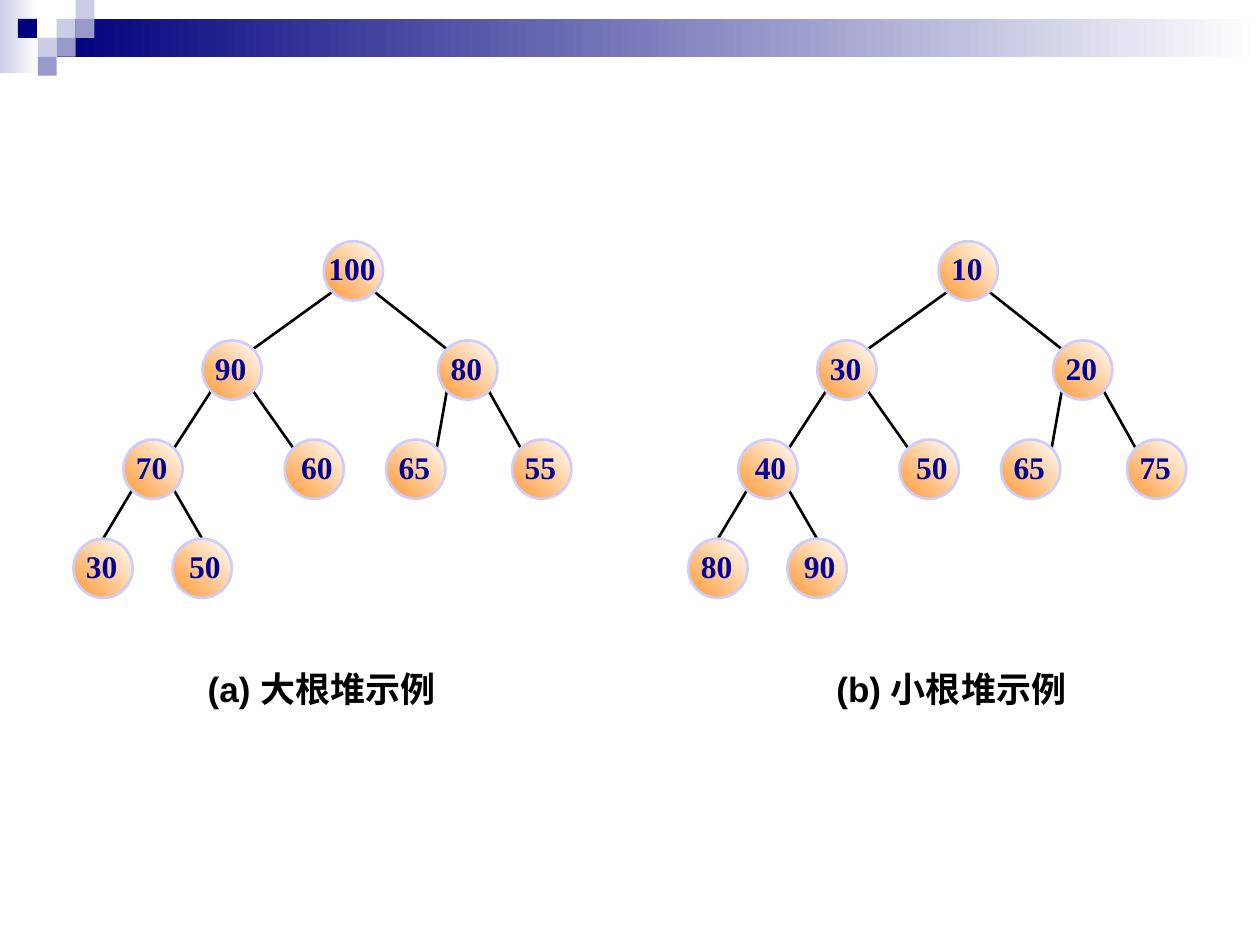
"""Build a slide comparing a max-heap tree with a min-heap tree."""
import math
import pptx
import pptx.dml.color
import pptx.enum.shapes
import pptx.enum.text
import pptx.util
import lxml.etree

COLORS = {
    "navy": "00007D", "pale": "CCCCE6", "lilac": "9999CC", "white": "FFFFFF",
    "orange": "FF9933", "rim": "CCCCFF", "number": "000099", "black": "000000",
}
SHAPES = pptx.enum.shapes.MSO_SHAPE
ALIGN = pptx.enum.text.PP_ALIGN
ANCHOR = pptx.enum.text.MSO_ANCHOR
FIT = pptx.enum.text.MSO_AUTO_SIZE


def rgb(name):
    return pptx.dml.color.RGBColor.from_string(COLORS[name])


def write(holder, text, font, size, color, align, anchor, insets, fit):
    frame = holder.text_frame
    frame.word_wrap = False
    frame.auto_size = fit
    frame.vertical_anchor = anchor
    frame.margin_left, frame.margin_top, frame.margin_right, frame.margin_bottom = [
        pptx.util.Inches(inset) for inset in insets]
    paragraph = frame.paragraphs[0]
    paragraph.alignment = align
    run = paragraph.add_run()
    run.text = text
    run.font.name = font
    run.font.size = pptx.util.Pt(size)
    run.font.bold = True
    run.font.color.rgb = rgb(color)


deck = pptx.Presentation()
deck.slide_width = pptx.util.Inches(10)
deck.slide_height = pptx.util.Inches(7.5)
slide = deck.slides.add_slide(deck.slide_layouts[6])
column = deck.slide_width / 100
tile = deck.slide_height / 50

bands = [(0, 0, 2.05, 3.85, "pale"), (3, 1, 63.67, 2, "navy")]
tiles = [(3, 1, "pale"), (4, 0, "pale"), (4, 1, "lilac"), (2, 2, "pale"),
         (0.95, 1, "navy"), (3, 2, "lilac"), (2, 3, "lilac")]
for left, top, width, height, color in bands + [(x, y, 1, 1, c) for x, y, c in tiles]:
    block = slide.shapes.add_shape(
        SHAPES.RECTANGLE, *[round(n * tile) for n in (left, top, width, height)])
    block.shadow.inherit = False
    block.line.fill.background()
    if width > 1:
        block.fill.gradient()
        block.fill.gradient_angle = 0
        for stop, shade in zip(block.fill.gradient_stops, (color, "white")):
            stop.color.rgb = rgb(shade)
    else:
        block.fill.solid()
        block.fill.fore_color.rgb = rgb(color)

diameter = 4.7 * column
diagonal = diameter / 2 * math.sqrt(0.5)
root_y = 21.5 * column
level_gap = 7.87 * column
node_columns = [28.05, 18.42, 37.13, 12.15, 24.95, 33, 43, 8.18, 16.05]
heaps = [
    (0, ["100 ", "90 ", "80 ", "70 ", "60", "65 ", "55 ", "30 ", "50"], "(a) 大根堆示例", 15.5),
    (48.8, ["10 ", "30 ", "20 ", "40", "50", "65 ", "75 ", "80 ", "90"], "(b) 小根堆示例", 65.4),
]

for offset, keys, caption, caption_left in heaps:
    centers = [((offset + x) * column, root_y + int(math.log2(i + 1)) * level_gap)
               for i, x in enumerate(node_columns)]

    for child in range(1, len(keys)):
        parent_x, parent_y = centers[(child - 1) // 2]
        child_x, child_y = centers[child]
        side = -1 if child % 2 else 1
        if child < 7:
            end_x, end_y = child_x - side * diagonal, child_y - diagonal
        else:
            end_x, end_y = child_x, child_y - diameter / 2
        edge = slide.shapes.add_connector(
            pptx.enum.shapes.MSO_CONNECTOR.STRAIGHT,
            round(parent_x + side * diagonal), round(parent_y + diagonal),
            round(end_x), round(end_y))
        edge.line.color.rgb = rgb("black")
        edge.line.width = pptx.util.Pt(1.5)
        lxml.etree.SubElement(edge.element.spPr, pptx.oxml.ns.qn("a:effectLst"))

    for key, (x, y) in zip(keys, centers):
        node = slide.shapes.add_shape(
            SHAPES.OVAL, round(x - diameter / 2), round(y - diameter / 2),
            round(diameter), round(diameter))
        node.shadow.inherit = False
        node.fill.gradient()
        node.fill.gradient_angle = 45
        for stop, shade in zip(node.fill.gradient_stops, ("orange", "white")):
            stop.color.rgb = rgb(shade)
        node.line.color.rgb = rgb("rim")
        node.line.width = pptx.util.Pt(1.5)
        write(node, key, font="Times New Roman", size=18, color="number",
              align=ALIGN.CENTER, anchor=ANCHOR.MIDDLE,
              insets=(0.14, 0.01, 0.1, 0.05), fit=FIT.NONE)

    label = slide.shapes.add_textbox(
        *[round(n * column) for n in (caption_left, 52.5, 21, 4.4)])
    write(label, caption, font="Arial", size=20, color="black",
          align=ALIGN.LEFT, anchor=ANCHOR.TOP,
          insets=(0.1, 0.05, 0.1, 0.05), fit=FIT.SHAPE_TO_FIT_TEXT)

deck.save("out.pptx")
